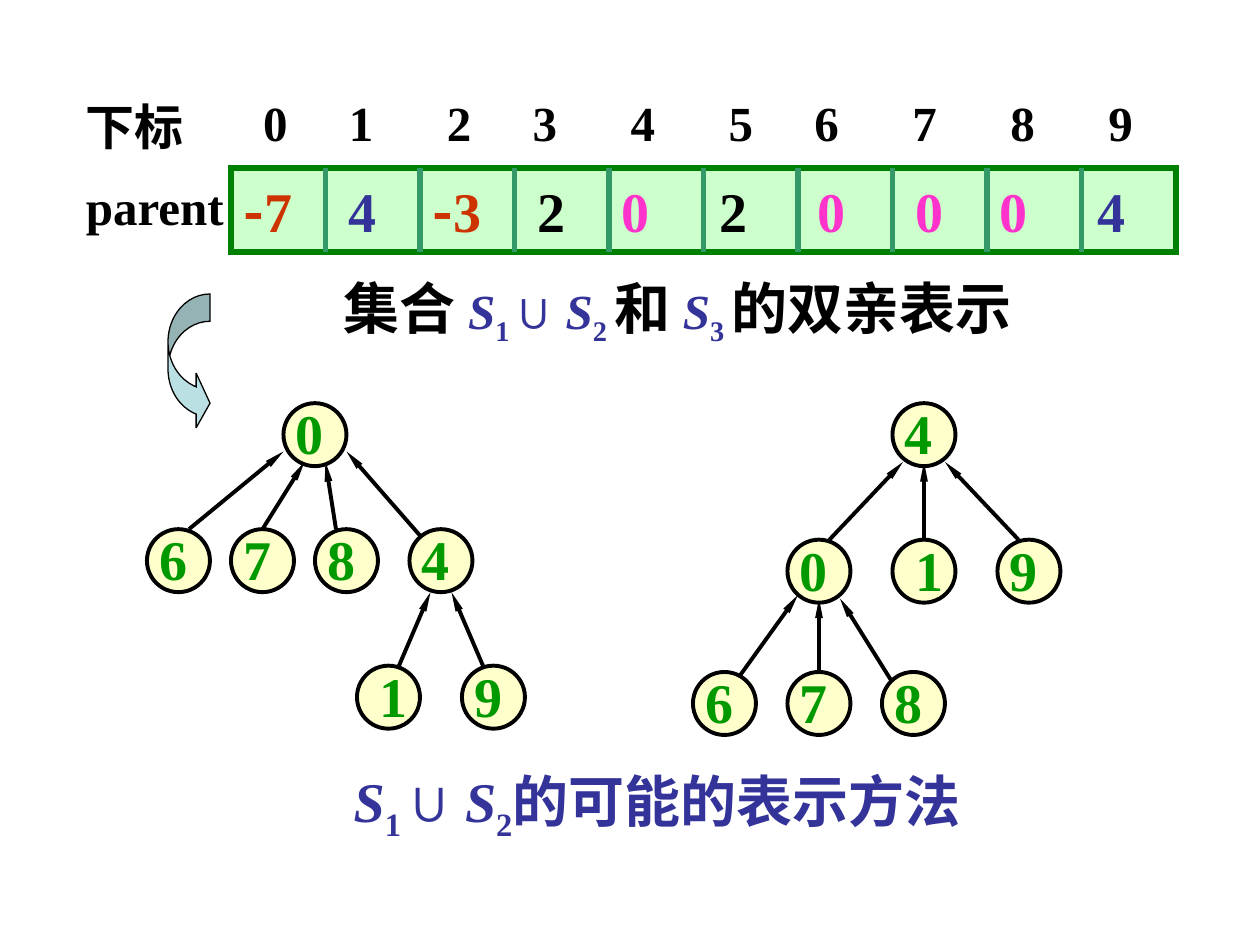
from dataclasses import dataclass
from itertools import accumulate

from pptx import Presentation
from pptx.dml.color import RGBColor
from pptx.enum.shapes import MSO_CONNECTOR, MSO_SHAPE
from pptx.enum.text import MSO_ANCHOR, MSO_AUTO_SIZE, PP_ALIGN
from pptx.oxml.ns import qn
from pptx.util import Pt


@dataclass(frozen=True)
class Theme:
    latin: str = "Times New Roman"
    cjk: str = "Noto Sans CJK SC"
    symbol: str = "Arial"
    large: int = 32
    small: int = 28
    black: str = "000000"
    blue: str = "333399"
    red: str = "CC3300"
    pink: str = "FF33CC"
    digit: str = "009900"
    node: str = "FFFFCC"
    cell: str = "CCFFCC"
    frame: str = "008000"
    divider: str = "339966"
    arrow: str = "BBE0E3"


T = Theme()

# Array: left, top, column width, height
ARRAY_X, ARRAY_Y, CELL_W, CELL_H = 132, 96, 54, 48
COLUMNS = 10
NODE = 36

# Trees: (digit, left, top) and (from x, from y, to x, to y)
UNION_NODES = [("0", 162, 230.4), ("6", 84, 302.4), ("7", 132, 302.4),
               ("8", 180, 302.4), ("4", 234, 302.4),
               ("1", 204, 380.4), ("9", 264, 380.4)]
UNION_EDGES = [(108, 302.4, 162, 258), (150, 302.4, 174, 264),
               (192, 302.4, 186, 264), (240, 306, 198, 258),
               (228, 380.4, 246, 338.4), (276, 380.4, 258, 338.4)]
OTHER_NODES = [("4", 510, 230.4), ("0", 450, 308.4), ("1", 510, 308.4),
               ("9", 570, 308.4), ("6", 396, 384), ("7", 450, 384),
               ("8", 504, 384)]
OTHER_EDGES = [(474, 308.4, 516, 264), (528, 308.4, 528, 264),
               (582, 308.4, 540, 264), (420, 390, 456, 340),
               (468, 384, 468, 342), (510, 390, 480, 342)]


def rgb(value):
    return RGBColor.from_string(value)


def add_run(p, text, color=T.black, size=T.large, font=T.latin, italic=False, sub=False):
    r = p.add_run()
    r.text = text
    values = {"name": font, "size": Pt(size), "bold": True, "italic": italic}
    for name, value in values.items():
        setattr(r.font, name, value)
    r.font.color.rgb = rgb(color)
    if sub:
        r.font._element.set("baseline", "-25000")
    ea = r.font._element.makeelement(qn("a:ea"), {"typeface": T.cjk})
    r.font._element.find(qn("a:latin")).addnext(ea)


def add_set(p, number, size):
    """Write a set name: an italic S with a subscript."""
    add_run(p, "S", T.blue, size, italic=True)
    add_run(p, number, T.blue, size, sub=True)


def add_union(p, size, after):
    add_set(p, "1 ", size)
    add_run(p, "∪ ", T.blue, size, font=T.symbol)
    add_set(p, "2" + after, size)


def format_frame(tf, anchor=MSO_ANCHOR.TOP):
    values = {"word_wrap": True, "auto_size": MSO_AUTO_SIZE.NONE, "vertical_anchor": anchor}
    for name, value in values.items():
        setattr(tf, name, value)
    p = tf.paragraphs[0]
    p.alignment = PP_ALIGN.LEFT
    return p


def add_text(s, x, y, w, h):
    tf = s.shapes.add_textbox(Pt(x), Pt(y), Pt(w), Pt(h)).text_frame
    return tf, format_frame(tf)


def add_shape(s, kind, x, y, w, h, fill, line, width):
    sp = s.shapes.add_shape(kind, Pt(x), Pt(y), Pt(w), Pt(h))
    sp.shadow.inherit = False
    sp.fill.solid()
    sp.fill.fore_color.rgb = rgb(fill)
    sp.line.color.rgb = rgb(line)
    sp.line.width = Pt(width)
    ln = sp.line._get_or_add_ln()
    ln.append(ln.makeelement(qn("a:miter"), {"lim": "800000"}))
    return sp


def add_line(s, x1, y1, x2, y2, color, width, arrow=False):
    c = s.shapes.add_connector(MSO_CONNECTOR.STRAIGHT, Pt(x1), Pt(y1), Pt(x2), Pt(y2))
    c.line.color.rgb = rgb(color)
    c.line.width = Pt(width)
    sp_pr = c._element.spPr
    sp_pr.append(sp_pr.makeelement(qn("a:effectLst"), {}))
    if arrow:
        ln = c.line._get_or_add_ln()
        ln.append(ln.makeelement(qn("a:tailEnd"), {"type": "triangle", "w": "sm", "len": "lg"}))


def set_tabs(p, gaps):
    """Place left tab stops at the running sums of the gaps."""
    p_pr = p._p.get_or_add_pPr()
    tabs = p_pr.makeelement(qn("a:tabLst"), {})
    for pos in accumulate(gaps):
        tabs.append(tabs.makeelement(qn("a:tab"), {"pos": str(Pt(pos)), "algn": "l"}))
    p_pr.append(tabs)


def add_array(s):
    sp = add_shape(s, MSO_SHAPE.RECTANGLE, ARRAY_X, ARRAY_Y, COLUMNS * CELL_W, CELL_H,
                   T.cell, T.frame, 3)
    p = format_frame(sp.text_frame, MSO_ANCHOR.MIDDLE)
    set_tabs(p, [60, 48, 60, 48, 56, 56, 56, 48, 56])
    parents = [("-7", T.red), ("4", T.blue), ("-3", T.red), ("2", T.black),
               ("0", T.pink), ("2", T.black), ("0", T.pink), ("0", T.pink),
               ("0", T.pink), ("4", T.blue)]
    for i, (value, color) in enumerate(parents):
        if i:
            add_run(p, "\t", color)
        if value.startswith("-"):
            add_run(p, "-", color, font=T.cjk)
        add_run(p, value.lstrip("-"), color)
    for i in range(1, COLUMNS):
        x = ARRAY_X + i * CELL_W
        add_line(s, x, ARRAY_Y, x, ARRAY_Y + CELL_H, T.divider, 3)

    # Indices above the cells
    _, p = add_text(s, 143.3, 49.4, 530, 41)
    set_tabs(p, [49, 56, 49, 56, 56, 49, 56, 56, 56])
    add_run(p, "\t".join(str(i) for i in range(COLUMNS)), size=T.small)

    # Row labels
    tf, first = add_text(s, 42, 51.6, 126, 87)
    for p, label in ((first, "下标"), (tf.add_paragraph(), "parent")):
        p.space_before = Pt(12.2)
        add_run(p, label, size=T.small)


def add_tree(s, nodes, edges):
    for x1, y1, x2, y2 in edges:
        add_line(s, x1, y1, x2, y2, T.black, 2.25, arrow=True)
    for digit, x, y in nodes:
        add_shape(s, MSO_SHAPE.OVAL, x, y, NODE, NODE, T.node, T.black, 2.25)
        shift = 6 if digit == "1" else 0
        _, p = add_text(s, x + shift, y - 6, 30, 46)
        add_run(p, digit, T.digit)


def add_title(s):
    sp = s.shapes.title
    box = {"left": 189, "top": 152.5, "width": 417, "height": 88}
    for name, value in box.items():
        setattr(sp, name, Pt(value))
    p = format_frame(sp.text_frame)
    add_run(p, "集合 ")
    add_union(p, T.small, " ")
    add_run(p, "和 ")
    add_set(p, "3 ", T.small)
    add_run(p, "的双亲表示")


def add_caption(s):
    _, p = add_text(s, 195, 434.4, 381, 51)
    add_union(p, T.large, "")
    add_run(p, "的可能的表示方法", T.blue)


def add_curved_arrow(s):
    sp = add_shape(s, MSO_SHAPE.CURVED_RIGHT_ARROW, 96, 168, 24, 78, T.arrow, T.black, 0.75)
    for i, value in enumerate((0.65, 1.3, 0.33)):
        sp.adjustments[i] = value


def main():
    prs = Presentation()
    prs.slide_width, prs.slide_height = Pt(720), Pt(540)
    s = prs.slides.add_slide(prs.slide_layouts[5])
    add_title(s)
    add_array(s)
    add_curved_arrow(s)
    add_tree(s, UNION_NODES, UNION_EDGES)
    add_tree(s, OTHER_NODES, OTHER_EDGES)
    add_caption(s)
    prs.save("out.pptx")


if __name__ == "__main__":
    main()
